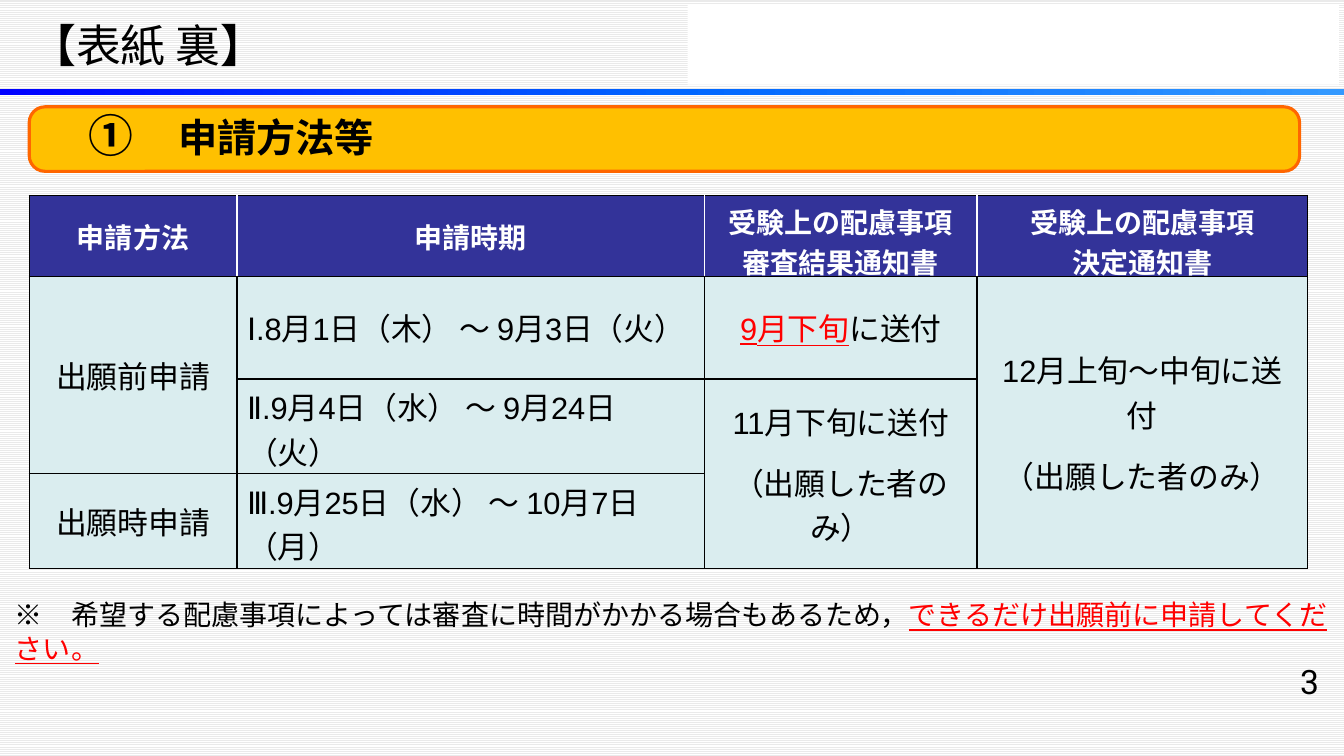
from dataclasses import dataclass
from lxml.etree import SubElement
from pptx import Presentation
from pptx.dml.color import RGBColor as RGB
from pptx.enum.dml import MSO_PATTERN as Pattern
from pptx.enum.shapes import MSO_SHAPE as Shape
from pptx.enum.text import MSO_ANCHOR as Anchor, MSO_AUTO_SIZE as Fit, PP_ALIGN as Align
from pptx.oxml import parse_xml
from pptx.oxml.ns import nsdecls, qn
from pptx.util import Inches, Pt


@dataclass(frozen=True)
class Theme:
    black: str = "000000"
    white: str = "FFFFFF"
    stripe: str = "EAEAEA"
    red: str = "FF0000"
    navy: str = "333399"
    pale: str = "DAEDEF"
    gold: str = "FFC000"
    orange: str = "FF6600"
    rule: tuple = ("0000FF", "0066FF", "3399FF")
    note: int = 20
    body: int = 22
    page: int = 24
    large: int = 28
    title: int = 32
    latin: str = "Arial"
    kanji: str = "Noto Sans CJK JP"
    sans: str = "Roboto"


theme = Theme()


def write(frame, paras, base, anchor=Anchor.TOP, **layout):
    """Fill a frame; each paragraph is a list of (text, changes to base) runs."""
    frame.word_wrap = True
    frame.vertical_anchor = anchor
    for i, runs in enumerate(paras):
        para = frame.paragraphs[0] if i == 0 else frame.add_paragraph()
        for key, value in layout.items():
            setattr(para, key, value)
        for text, change in runs:
            run = para.add_run()
            run.text = text
            look = {"name": theme.latin, "color": theme.black, **base, **change}
            run.font.color.rgb = RGB.from_string(look.pop("color"))
            look["size"] = Pt(look["size"])
            for key, value in look.items():
                setattr(run.font, key, value)
            SubElement(run.font._element, qn("a:ea"), typeface=theme.kanji)


def draw(kind, area, fill):
    shape = shapes.add_shape(kind, *map(Inches, area))
    shape.shadow.inherit = False
    shape.fill.solid()
    shape.fill.fore_color.rgb = RGB.from_string(fill)
    shape.line.fill.background()
    return shape


prs = Presentation()
prs.slide_width, prs.slide_height = Inches(13.33), Inches(7.5)
slide = prs.slides.add_slide(prs.slide_layouts[5])
shapes = slide.shapes
back = slide.background.fill
back.patterned()
back.pattern = Pattern.LIGHT_HORIZONTAL
back.fore_color.rgb = RGB.from_string(theme.white)
back.back_color.rgb = RGB.from_string(theme.stripe)

# Header
draw(Shape.RECTANGLE, (6.82, 0.05, 6.46, 0.79), theme.white)
rule = draw(Shape.RECTANGLE, (0, 0.88, 13.33, 0.06), theme.rule[0])
stops = "".join(
    f'<a:gs pos="{i * 50000}"><a:srgbClr val="{color}"/></a:gs>'
    for i, color in enumerate(theme.rule))
solid = rule._element.spPr.find(qn("a:solidFill"))
solid.getparent().replace(solid, parse_xml(
    f'<a:gradFill {nsdecls("a")}><a:gsLst>{stops}</a:gsLst><a:lin ang="0"/></a:gradFill>'))

title = shapes.title
title.left, title.top, title.width, title.height = map(Inches, (0.21, 0.13, 2.76, 0.64))
title.text_frame.auto_size = Fit.NONE
bold = {"bold": True}
write(title.text_frame, [[("【", bold), ("表紙 裏", {"bold": False}), ("】", bold)]],
      {"size": theme.title}, alignment=Align.LEFT)

# Page number and note: area, runs, base font, alignment
boxes = [
    ((10.29, 6.51, 2.89, 0.52), [("3", {})],
     {"size": theme.page, "name": theme.sans}, Align.RIGHT),
    ((0.05, 5.88, 13.28, 0.44),
     [("※　希望する配慮事項によっては審査に時間がかかる場合もあるため，", {}),
      ("できるだけ出願前に申請してください。", {"color": theme.red, "underline": True})],
     {"size": theme.note}, Align.LEFT),
]
for area, runs, base, align in boxes:
    box = shapes.add_textbox(*map(Inches, area))
    write(box.text_frame, [runs], base, alignment=align)

# Section banner
kanji = {"name": theme.kanji}
banner = draw(Shape.ROUNDED_RECTANGLE, (0.29, 1.06, 12.6, 0.64), theme.gold)
banner.adjustments[0] = 0.245
banner.line.color.rgb = RGB.from_string(theme.orange)
banner.line.width = Pt(2.25)
write(banner.text_frame, [[("　①　", {}), ("申請方法等", {"size": theme.large})]],
      {"size": theme.title, "bold": True, **kanji}, Anchor.BOTTOM, alignment=Align.LEFT)

# Schedule table
widths, heights = (2.06, 4.64, 2.7, 3.28), (0.8, 1.02, 0.94, 0.94)
table = shapes.add_table(4, 4, *map(Inches, (0.29, 1.94, 12.68, 3.71))).table
for col, width in zip(table.columns, widths):
    col.width = Inches(width)
for row, height in zip(table.rows, heights):
    row.height = Inches(height)

heads = [["申請方法"], ["申請時期"], ["受験上の配慮事項", "審査結果通知書"],
         ["受験上の配慮事項", "決定通知書"]]
only = [("（出願した者のみ）", {})]
cells = {(0, c): [[(line, {})] for line in lines] for c, lines in enumerate(heads)}
cells |= {
    (1, 0): [[("出願前申請", {})]],
    (1, 1): [[("Ⅰ.8月1日（木） ～ 9月3日（火）", {})]],
    (1, 2): [[("9月下旬", {"color": theme.red, "underline": True}), ("に送付", {})]],
    (1, 3): [[("12月上旬～中旬に送付", {})], only],
    (2, 1): [[("Ⅱ.9", {}), ("月", kanji), ("4", {}), ("日（水） ～ ", kanji),
              ("9月24", {}), ("日（火）", kanji)]],
    (2, 2): [[("11月下旬に送付", {})], only],
    (3, 0): [[("出願時申請", {})]],
    (3, 1): [[("Ⅲ.9月25", {}), ("日（水） ～", kanji), (" 10", {}), ("月", kanji),
              ("7日", {}), ("（月）", kanji)]],
}
for first, last in (((1, 0), (2, 0)), ((1, 3), (3, 3)), ((2, 2), (3, 2))):
    table.cell(*first).merge(table.cell(*last))

for r in range(4):
    for c in range(4):
        cell, head = table.cell(r, c), r == 0
        cell.fill.solid()
        cell.fill.fore_color.rgb = RGB.from_string(theme.navy if head else theme.pale)
        cell.vertical_anchor = Anchor.MIDDLE
        inner = {"L": head and c > 0, "R": head and c < 3, "T": False, "B": False}
        for i, (side, light) in enumerate(inner.items()):
            color = theme.white if light else theme.black
            cell._tc.tcPr.insert(i, parse_xml(
                f'<a:ln{side} {nsdecls("a")} w="12700"><a:solidFill>'
                f'<a:srgbClr val="{color}"/></a:solidFill></a:ln{side}>'))
        if (r, c) in cells:
            paras = cells[r, c]
            base = ({"size": theme.note, "color": theme.white, "bold": True} if head
                    else {"size": theme.body, "bold": False})
            write(cell.text_frame, paras, base, Anchor.MIDDLE,
                  alignment=Align.LEFT if c == 1 and not head else Align.CENTER,
                  space_after=Pt(12 if len(paras) > 1 and not head else 0))

prs.save("out.pptx")
